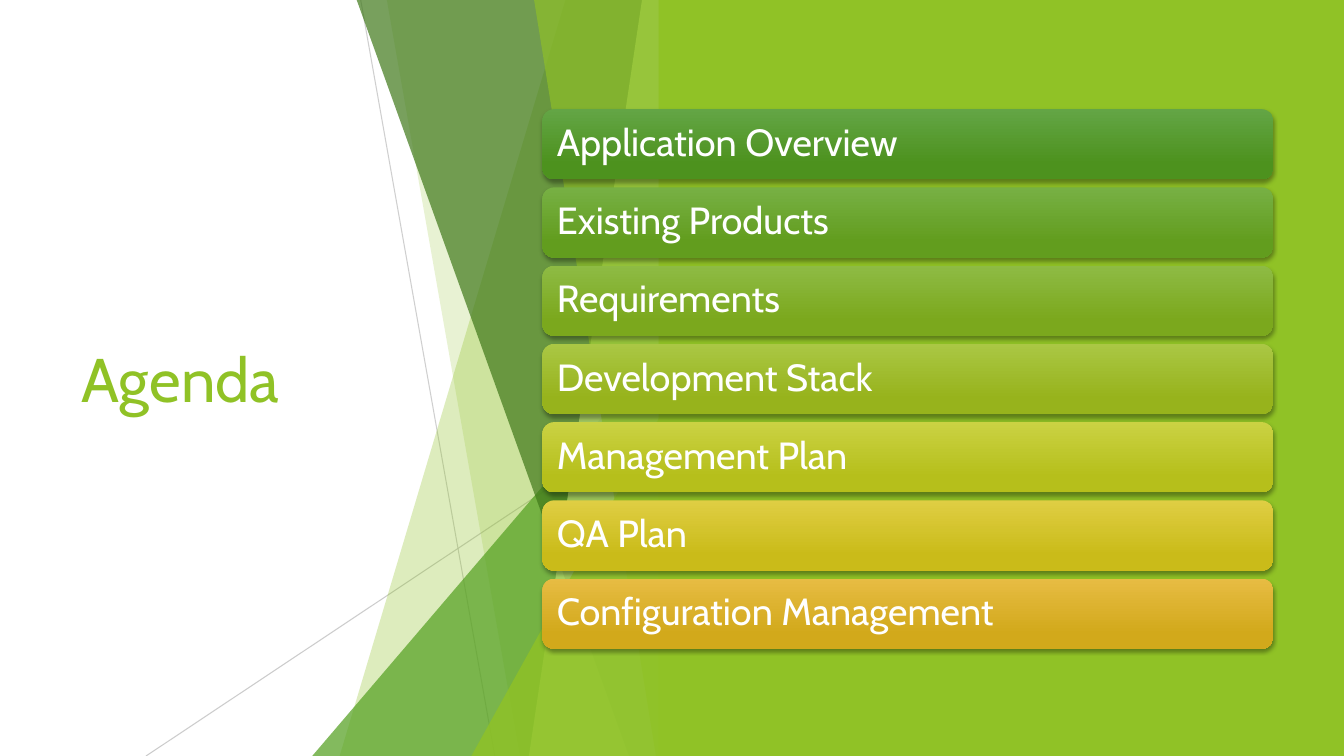
from lxml import etree
from pptx import Presentation
from pptx.dml.color import RGBColor
from pptx.enum import shapes, text
from pptx.oxml.ns import qn
from pptx.util import Cm, Pt

FONT = "Cabin"
GREEN = "90C226"
WIDTH, HEIGHT = 33.87, 19.05


def rgb(value):
    return RGBColor.from_string(value)


def set_alpha(fill_owner, percent):
    for color in fill_owner.iter(qn("a:srgbClr")):
        etree.SubElement(color, qn("a:alpha"), val=str(percent * 1000))


def paint(sp, color, alpha=100):
    sp.shadow.inherit = False
    sp.line.fill.background()
    sp.fill.solid()
    sp.fill.fore_color.rgb = rgb(color)
    if alpha < 100:
        set_alpha(sp._element.spPr, alpha)


def add_soft_shadow(sp):
    sp.shadow.inherit = False
    effects = sp._element.spPr.find(qn("a:effectLst"))
    shadow = etree.SubElement(effects, qn("a:outerShdw"), blurRad=str(Pt(3)),
                              dist=str(Pt(2)), dir="5400000", rotWithShape="0")
    etree.SubElement(shadow, qn("a:srgbClr"), val="000000")
    set_alpha(shadow, 35)


def add_title(s, left, top, width, height):
    sp = s.shapes.title
    sp.left, sp.top, sp.width, sp.height = map(Cm, (left, top, width, height))
    tf = sp.text_frame
    tf.text = "Agenda"
    tf.auto_size = text.MSO_AUTO_SIZE.NONE
    tf.vertical_anchor = text.MSO_ANCHOR.MIDDLE
    p = tf.paragraphs[0]
    p.alignment = text.PP_ALIGN.LEFT
    p.font.name, p.font.size = FONT, Pt(44)
    p.font.color.rgb = rgb(GREEN)


def add_facets(s, left, top, width, height):
    """Translucent facets that share the right and bottom edges of the box."""
    def line(x1, y1, x2, y2, alpha):
        cx = s.shapes.add_connector(shapes.MSO_CONNECTOR.STRAIGHT,
                                    Cm(left + x1), Cm(top + y1),
                                    Cm(left + x2), Cm(top + y2))
        cx.line.width = Pt(0.75)
        cx.line.color.rgb = rgb("BFBFBF")
        set_alpha(cx._element.spPr, alpha)
        etree.SubElement(cx._element.spPr, qn("a:effectLst"))

    def band(top_x, bottom_x, color, alpha):
        builder = s.shapes.build_freeform(Cm(left + top_x), Cm(top))
        corners = [(width, 0), (width, height), (bottom_x, height)]
        builder.add_line_segments([(Cm(left + x), Cm(top + y)) for x, y in corners])
        paint(builder.convert_to_shape(), color, alpha)

    def wedge(x, y, color, alpha):
        sp = s.shapes.add_shape(shapes.MSO_SHAPE.ISOSCELES_TRIANGLE,
                                Cm(left + x), Cm(top + y),
                                Cm(width - x), Cm(height - y))
        sp.adjustments[0] = 1
        paint(sp, color, alpha)

    line(5.41, 0, 8.79, height, 75)
    line(width, 10.24, 0, height, 80)
    band(10.57, 4.88, GREEN, 30)
    band(6.07, 9.42, GREEN, 20)
    wedge(4.19, 8.46, "54A021", 72)
    band(5.31, 12.17, "3F7819", 70)
    band(12.5, 9.65, "C0E474", 70)
    band(9.78, 12.85, GREEN, 65)
    wedge(8.2, 9.98, GREEN, 80)


def add_panel(s, left, top, width, height):
    sp = s.shapes.add_shape(shapes.MSO_SHAPE.RECTANGLE,
                            Cm(left), Cm(top), Cm(width), Cm(height))
    paint(sp, GREEN)


def add_agenda(s, left, top, width, height, items, gap=0.2):
    bar_height = (height - gap * (len(items) - 1)) / len(items)
    for i, (label, *colors) in enumerate(items):
        sp = s.shapes.add_shape(shapes.MSO_SHAPE.ROUNDED_RECTANGLE,
                                Cm(left), Cm(top + i * (bar_height + gap)),
                                Cm(width), Cm(bar_height))
        # Bar
        sp.line.fill.background()
        sp.fill.gradient()
        sp.fill.gradient_angle = 270
        for stop, color, position in zip(sp.fill.gradient_stops, colors, (0, 0.78)):
            stop.color.rgb = rgb(color)
            stop.position = position
        add_soft_shadow(sp)
        # Label
        tf = sp.text_frame
        tf.text = label
        tf.word_wrap = True
        tf.vertical_anchor = text.MSO_ANCHOR.MIDDLE
        tf.margin_left = tf.margin_right = Cm(0.28)
        tf.margin_top = tf.margin_bottom = Cm(0.28)
        p = tf.paragraphs[0]
        p.alignment = text.PP_ALIGN.LEFT
        p.line_spacing = 0.9
        p.font.name, p.font.size = FONT, Pt(27)
        p.font.color.rgb = rgb("FFFFFF")


# Label, top colour, bottom colour
AGENDA = [
    ("Application Overview", "63A545", "4D921E"),
    ("Existing Products", "77B044", "629D1E"),
    ("Requirements", "8EBB44", "7BA81D"),
    ("Development Stack", "AAC744", "97B31C"),
    ("Management Plan", "CAD243", "B6BF1B"),
    ("QA Plan", "DFCE43", "CABB19"),
    ("Configuration Management", "E7BC43", "D2A91B"),
]

prs = Presentation()
prs.slide_width, prs.slide_height = Cm(WIDTH), Cm(HEIGHT)
s = prs.slides.add_slide(prs.slide_layouts[5])

add_title(s, 1.8, 3.84, 9.86, 11.38)
add_facets(s, 3.68, 0, 13.24, HEIGHT)
add_panel(s, 16.6, 0, WIDTH - 16.6, HEIGHT)
add_agenda(s, 13.67, 2.75, 18.42, 13.6, AGENDA)

prs.save("out.pptx")
